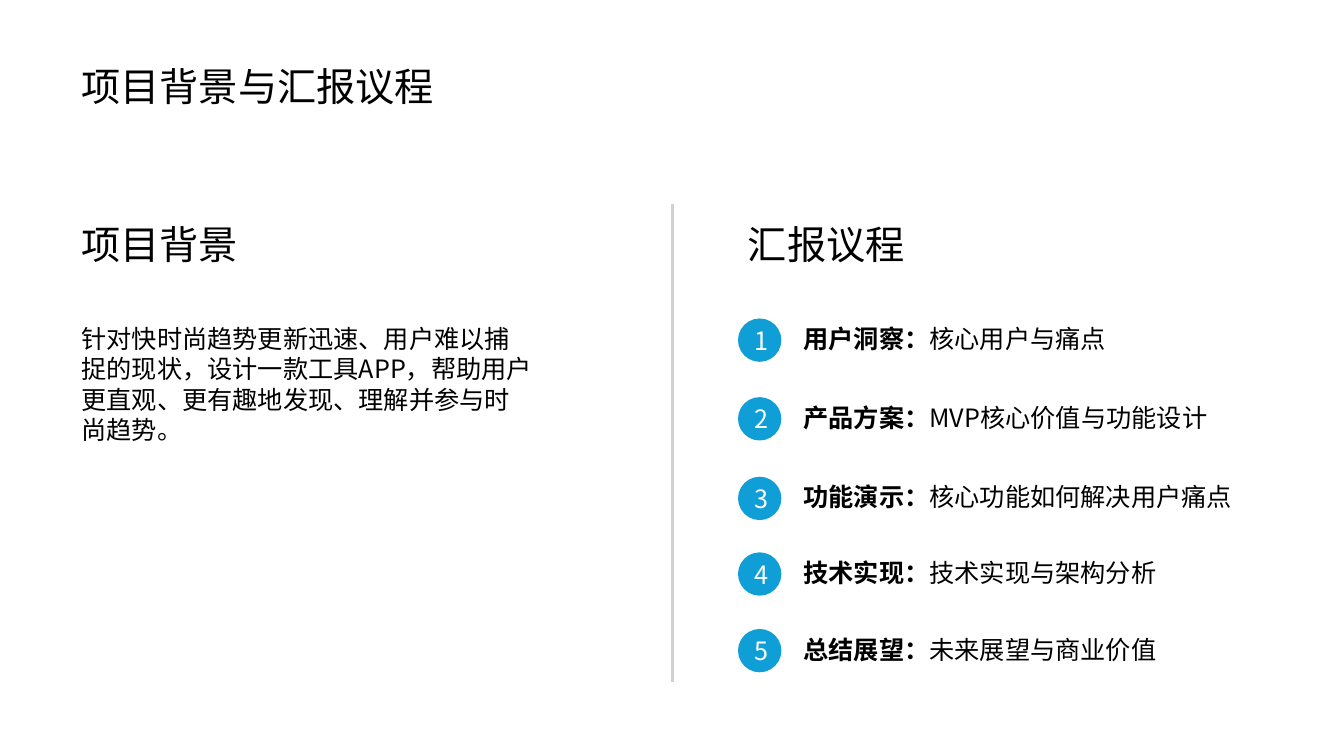
from pptx import Presentation
from pptx.dml.color import RGBColor as RGB
from pptx.enum.shapes import MSO_CONNECTOR as LINK, MSO_SHAPE as SHAPE
from pptx.enum.text import MSO_ANCHOR as ANCHOR, PP_ALIGN as ALIGN
from pptx.oxml.ns import qn
from pptx.util import Inches, Pt

FONT = "Noto Sans CJK SC"
COLORS = {"text": "000000", "badge": "0F9ED5", "white": "FFFFFF", "rule": "D1D1D1"}

deck = Presentation()
deck.slide_width, deck.slide_height = Inches(13.33), Inches(7.5)
slide = deck.slides.add_slide(deck.slide_layouts[6])
shapes = slide.shapes


def write(shape, text, lead="", size=18, color="text", align=ALIGN.LEFT, anchor=ANCHOR.TOP):
    """Fill a shape with text, after an optional bold lead."""
    frame = shape.text_frame
    frame.word_wrap = True
    frame.vertical_anchor = anchor
    para = frame.paragraphs[0]
    para.alignment = align
    for part, bold in ((lead, True), (text, False)):
        if part:
            run = para.add_run()
            run.text = part
            font = run.font
            font.name, font.size, font.bold = FONT, Pt(size), bold
            font.color.rgb = RGB.from_string(COLORS[color])
            east = font._element.makeelement(qn("a:ea"), {"typeface": FONT})
            font._element.append(east)


def add_box(left, top, width, height):
    return shapes.add_textbox(Inches(left), Inches(top), Inches(width), Inches(height))


# Title and column headings
for left, top, width, text in (
    (0.71, 0.57, 8.29, "项目背景与汇报议程"),
    (0.71, 2.14, 2.21, "项目背景"),
    (7.32, 2.14, 2.48, "汇报议程"),
):
    write(add_box(left, top, width, 0.57), text, size=28)

# Divider
rule = shapes.add_connector(LINK.STRAIGHT, Inches(6.67), Inches(2.02), Inches(6.67), Inches(6.77))
rule.line.color.rgb = RGB.from_string(COLORS["rule"])
rule.line.width = Pt(1.5)
props = rule._element.spPr
props.append(props.makeelement(qn("a:effectLst"), {}))

# Background
write(
    add_box(0.71, 3.16, 4.67, 1.31),
    "针对快时尚趋势更新迅速、用户难以捕捉的现状，设计一款工具APP，"
    "帮助用户更直观、更有趣地发现、理解并参与时尚趋势。",
)

# Agenda with numbered badges
agenda = (
    (3.16, "用户洞察：", "核心用户与痛点"),
    (3.94, "产品方案：", "MVP核心价值与功能设计"),
    (4.73, "功能演示：", "核心功能如何解决用户痛点"),
    (5.48, "技术实现：", "技术实现与架构分析"),
    (6.24, "总结展望：", "未来展望与商业价值"),
)
for num, (top, lead, text) in enumerate(agenda, 1):
    badge = shapes.add_shape(SHAPE.OVAL, Inches(7.32), Inches(top), Inches(0.43), Inches(0.43))
    badge.shadow.inherit = False
    badge.fill.solid()
    badge.fill.fore_color.rgb = RGB.from_string(COLORS["badge"])
    badge.line.fill.background()
    write(badge, str(num), color="white", align=ALIGN.CENTER, anchor=ANCHOR.MIDDLE)
    write(add_box(7.87, top, 4.67, 0.4), text, lead=lead)

deck.save("out.pptx")
